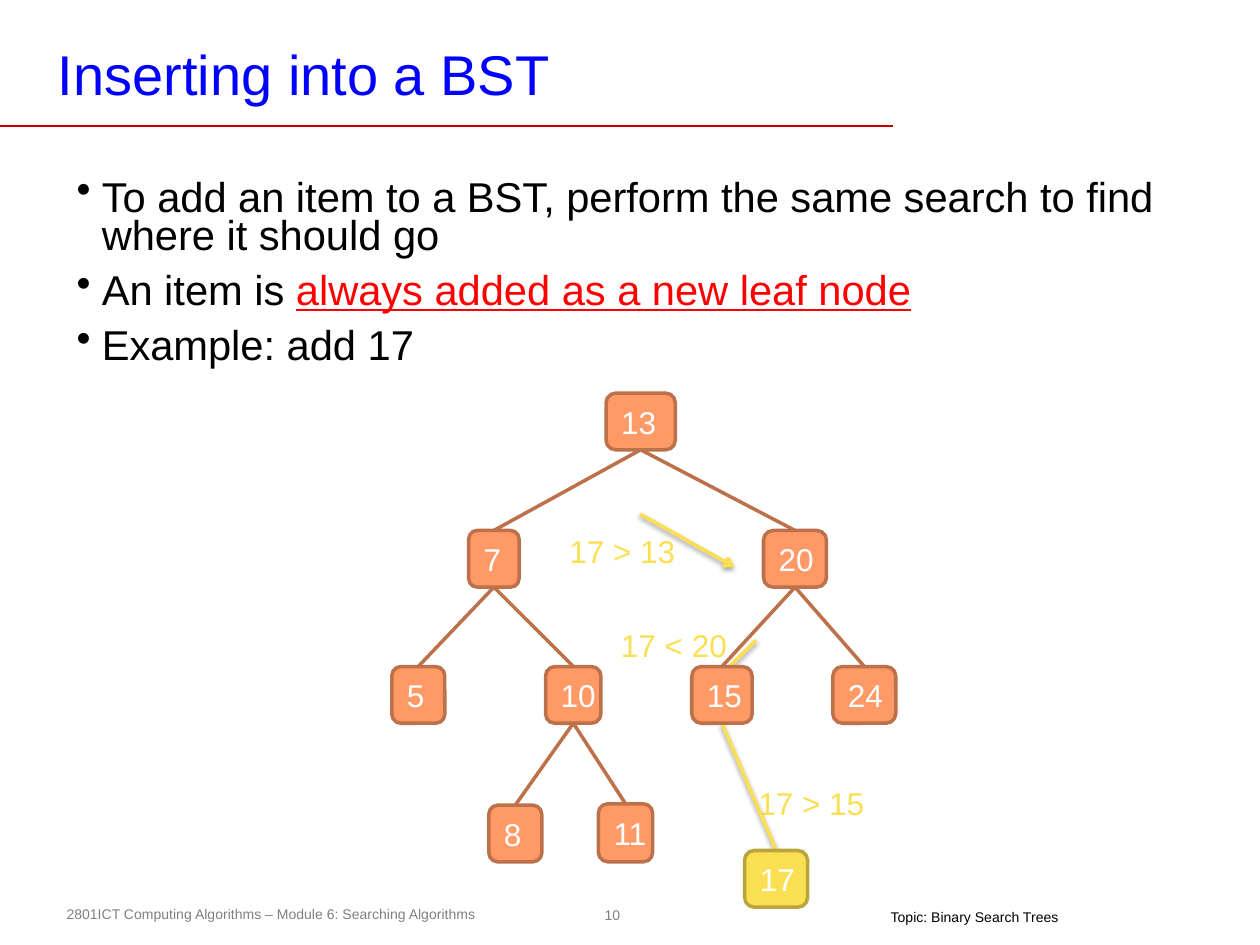
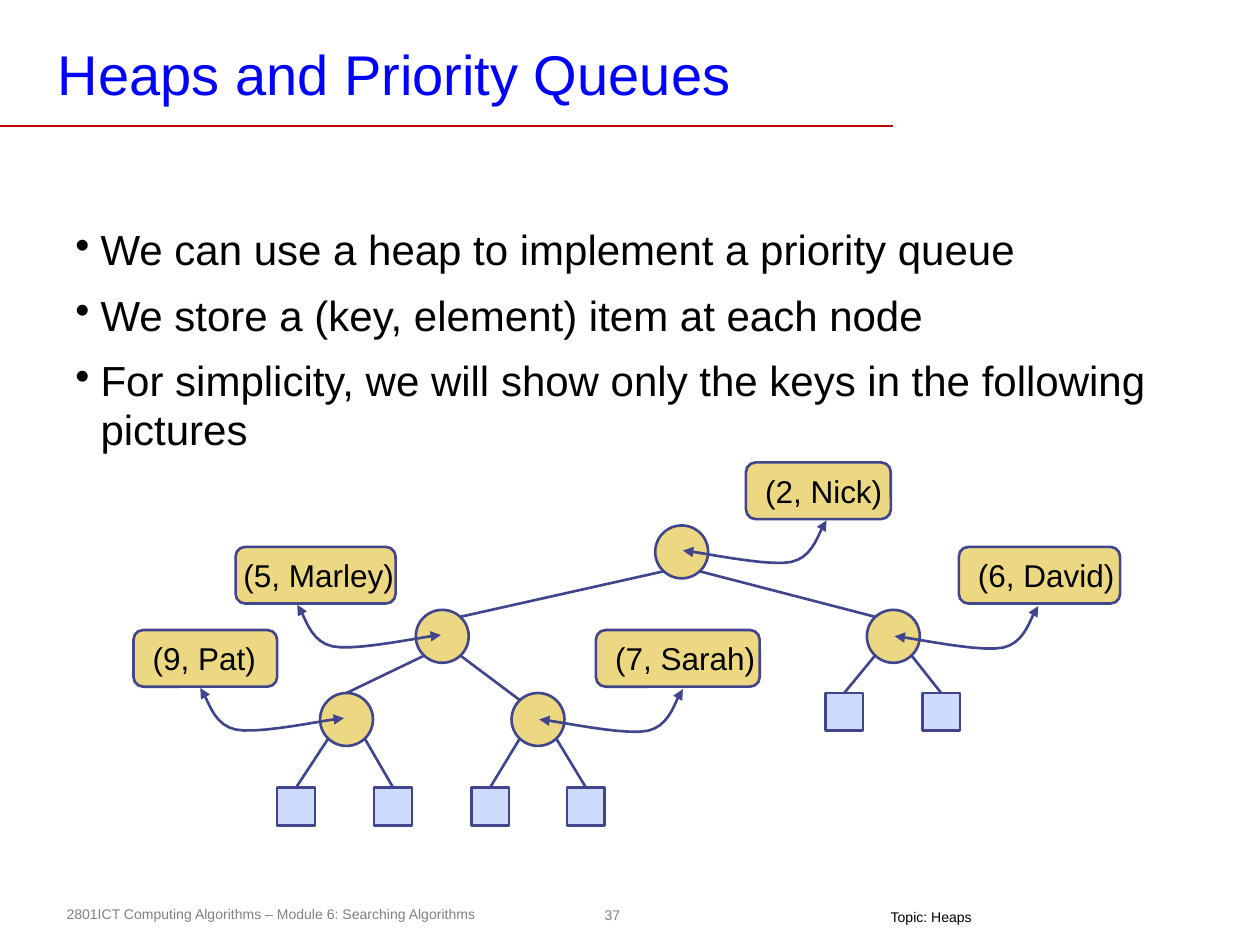
import pptx
import pptx.dml.color
import pptx.enum.shapes
import pptx.enum.text
import pptx.oxml
import pptx.oxml.ns
import pptx.util

Inches = pptx.util.Inches
Pt = pptx.util.Pt
SHAPE = pptx.enum.shapes.MSO_SHAPE
ALIGN = pptx.enum.text.PP_ALIGN
MIDDLE = pptx.enum.text.MSO_ANCHOR.MIDDLE

# Shared look
FONT = "Arial"
BLACK, WHITE, GREY, RED = "000000", "FFFFFF", "808080", "FF0000"
TITLE_BLUE, RULE_RED = "0000FF", "C00000"
ORANGE, BROWN = "FF9966", "BD714B"
YELLOW, OLIVE = "FBDF53", "BAA53D"
SAND, PALE_BLUE, INDIGO = "ECD882", "CFDBFD", "40458C"
COURSE = "2801ICT Computing Algorithms – Module 6: Searching Algorithms"
INSETS = (0.1, 0.05, 0.1, 0.05)

# Search tree: key -> left, top, width, height
TREE_NODES = {
    "13": (4.81, 3.12, 0.55, 0.45),
    "7": (3.72, 4.21, 0.4, 0.45),
    "20": (6.06, 4.21, 0.5, 0.45),
    "5": (3.11, 5.29, 0.42, 0.45),
    "10": (4.33, 5.29, 0.44, 0.45),
    "15": (5.49, 5.29, 0.48, 0.45),
    "24": (6.61, 5.29, 0.5, 0.45),
    "8": (3.88, 6.39, 0.42, 0.45),
    "11": (4.75, 6.38, 0.43, 0.46),
}
TREE_CHILDREN = {"13": ("7", "20"), "7": ("5", "10"), "20": ("15", "24"), "10": ("8", "11")}
COMPARISONS = [("17 > 13", 4.42, 4.17), ("17 < 20", 4.83, 4.92), ("17 > 15", 5.92, 6.17)]

# Heap: circle -> left, top
CIRCLE, SQUARE = 0.42, 0.3
HEAP_CIRCLES = {
    "Nick": (5.2, 4.17),
    "Marley": (3.3, 4.84),
    "David": (6.88, 4.84),
    "Pat": (2.54, 5.5),
    "Sarah": (4.06, 5.5),
}
# Parent with the lefts and top of its two empty leaves
HEAP_LEAVES = [("Pat", (2.2, 2.97), 6.25), ("Sarah", (3.74, 4.5), 6.25), ("David", (6.55, 7.32), 5.5)]
# Anchors as fractions of a shape's width and height
TOP, TOP_LEFT, TOP_RIGHT = (0.5, 0), (0.15, 0.13), (0.85, 0.13)
BOTTOM_LEFT, BOTTOM_RIGHT = (0.15, 0.87), (0.85, 0.87)
HEAP_EDGES = [
    ("Nick", BOTTOM_LEFT, "Marley", TOP_RIGHT),
    ("Nick", BOTTOM_RIGHT, "David", TOP_LEFT),
    ("Marley", BOTTOM_LEFT, "Pat", TOP),
    ("Marley", BOTTOM_RIGHT, "Sarah", TOP_LEFT),
]
# Item text, box left, top, width and left inset
HEAP_ITEMS = [
    ("(2, Nick)", 5.92, 3.67, 1.15, 0.13),
    ("(6, David)", 7.61, 4.34, 1.28, 0.13),
    ("(5, Marley)", 1.87, 4.34, 1.27, 0.04),
    ("(9, Pat)", 1.06, 5, 1.14, 0.13),
    ("(7, Sarah)", 4.73, 5, 1.3, 0.13),
]
# Start of each double arrow and its horizontal direction
HEAP_LINKS = [(5.42, 4.37, 1), (7.1, 5.05, 1), (3.5, 5.04, -1), (2.73, 5.7, -1), (4.28, 5.71, 1)]
# Two cubic curves as offsets from the start
LINK_CURVES = [
    [(0, 0), (0.14, 0.01), (0.67, 0.13), (0.86, 0.09)],
    [(0.86, 0.09), (1.05, 0.05), (1.08, -0.17), (1.14, -0.24)],
]


def rgb(value):
    return pptx.dml.color.RGBColor.from_string(value)


def set_attributes(target, values):
    for name, value in values.items():
        setattr(target, name, value)


def format_frame(frame, insets=INSETS, wrap=True, anchor=None):
    sides = ("margin_left", "margin_top", "margin_right", "margin_bottom")
    set_attributes(frame, dict(zip(sides, map(Inches, insets))))
    set_attributes(frame, {"word_wrap": wrap, "vertical_anchor": anchor})


def add_run(paragraph, text, size, color, underline=None):
    run = paragraph.add_run()
    run.text = text
    set_attributes(run.font, {"size": Pt(size), "name": FONT, "underline": underline})
    run.font.color.rgb = rgb(color)


def add_text(slide, text, box, size, color, align=ALIGN.LEFT, **frame_format):
    shape = slide.shapes.add_textbox(*map(Inches, box))
    format_frame(shape.text_frame, **frame_format)
    paragraph = shape.text_frame.paragraphs[0]
    paragraph.alignment = align
    add_run(paragraph, text, size, color)


def add_bullets(slide, box, items, size, line_spacing):
    """Each item is a list of (text, color, underline) runs."""
    frame = slide.shapes.add_textbox(*map(Inches, box)).text_frame
    format_frame(frame)
    for index, runs in enumerate(items):
        paragraph = frame.add_paragraph() if index else frame.paragraphs[0]
        set_attributes(paragraph, {"line_spacing": line_spacing, "space_before": Pt(9.4)})
        properties = paragraph._p.get_or_add_pPr()
        properties.set("marL", str(Inches(0.2)))
        properties.set("indent", str(Inches(-0.2)))
        bullet = pptx.oxml.parse_xml(f'<a:buChar {pptx.oxml.ns.nsdecls("a")} char="•"/>')
        properties.append(bullet)
        for text, color, underline in runs:
            add_run(paragraph, text, size, color, underline)


def add_box(slide, kind, box, fill, line, width, rounding=None):
    shape = slide.shapes.add_shape(kind, *map(Inches, box))
    shape.shadow.inherit = False
    shape.fill.solid()
    shape.fill.fore_color.rgb = rgb(fill)
    shape.line.color.rgb = rgb(line)
    shape.line.width = Pt(width)
    if rounding is not None:
        shape.adjustments[0] = rounding
    return shape


def add_label_box(slide, text, box, fill, line, width, color, left_inset=0.1):
    shape = add_box(slide, SHAPE.ROUNDED_RECTANGLE, box, fill, line, width, 0.17)
    format_frame(shape.text_frame, (left_inset, 0.05, 0.1, 0.05), False, MIDDLE)
    paragraph = shape.text_frame.paragraphs[0]
    paragraph.alignment = ALIGN.LEFT
    add_run(paragraph, text, 18, color)
    return shape


def add_arrowheads(shape, **ends):
    line = shape.element.spPr.find(pptx.oxml.ns.qn("a:ln"))
    for tag, kind in ends.items():
        line.append(pptx.oxml.parse_xml(f'<a:{tag} {pptx.oxml.ns.nsdecls("a")} type="{kind}"/>'))


def add_line(slide, start, end, color, width, shadow=False):
    """Start and end are points in EMU."""
    connector = slide.shapes.add_connector(
        pptx.enum.shapes.MSO_CONNECTOR.STRAIGHT, *start, *end)
    connector.line.color.rgb = rgb(color)
    connector.line.width = Pt(width)
    effect = (f'<a:outerShdw blurRad="{Pt(3.1)}" dist="{Pt(1.6)}" dir="5400000" rotWithShape="0">'
              '<a:srgbClr val="000000"><a:alpha val="38000"/></a:srgbClr></a:outerShdw>')
    connector.element.spPr.append(pptx.oxml.parse_xml(
        f'<a:effectLst {pptx.oxml.ns.nsdecls("a")}>{effect if shadow else ""}</a:effectLst>'))
    return connector


def point(x, y):
    return Inches(x), Inches(y)


def anchor_point(shape, anchor):
    across, down = anchor
    return int(shape.left + across * shape.width), int(shape.top + down * shape.height)


def curve_point(controls, t):
    weights = ((1 - t) ** 3, 3 * t * (1 - t) ** 2, 3 * t * t * (1 - t), t ** 3)
    return tuple(sum(w * c[axis] for w, c in zip(weights, controls)) for axis in (0, 1))


def add_link(slide, x, y, direction, steps=10):
    """Curved double arrow between a heap node and its item."""
    offsets = [curve_point(curve, step / steps)
               for curve in LINK_CURVES for step in range(1, steps + 1)]
    builder = slide.shapes.build_freeform(*point(x, y))
    builder.add_line_segments([point(x + direction * dx, y + dy) for dx, dy in offsets], close=False)
    link = builder.convert_to_shape()
    link.shadow.inherit = False
    link.fill.background()
    link.line.color.rgb = rgb(INDIGO)
    link.line.width = Pt(1.5)
    add_arrowheads(link, headEnd="triangle", tailEnd="triangle")


def add_slide(presentation, title, number, topic):
    """Slide with the shared title, rule and footer."""
    slide = presentation.slides.add_slide(presentation.slide_layouts[5])
    add_text(slide, number, (4.66, 7.13, 0.4, 0.26), 8, GREY, ALIGN.CENTER,
             insets=(0.04,) * 4, anchor=MIDDLE)
    add_text(slide, COURSE, (0.43, 7.14, 3.64, 0.24), 8, GREY)
    add_line(slide, point(0, 1), point(7.09, 1), RULE_RED, 1)
    add_text(slide, topic, (6.97, 7.21, 1.55, 0.17), 8, BLACK, insets=(0.1, 0, 0.1, 0.04))
    heading = slide.shapes.title
    box = map(Inches, (0.39, 0.28, 7.42, 0.6))
    set_attributes(heading, dict(zip(("left", "top", "width", "height"), box)))
    format_frame(heading.text_frame, (0.07, 0.03, 0.07, 0.03), anchor=MIDDLE)
    paragraph = heading.text_frame.paragraphs[0]
    paragraph.alignment = ALIGN.LEFT
    add_run(paragraph, title, 32, TITLE_BLUE)
    return slide


def add_search_tree(slide):
    # Path followed by the new key
    for start, end in (((5.08, 4.08), (5.83, 4.5)), ((6, 5.08), (5.58, 5.5))):
        arrow = add_line(slide, point(*start), point(*end), YELLOW, 2, shadow=True)
        add_arrowheads(arrow, tailEnd="arrow")
    for text, left, top in COMPARISONS:
        add_text(slide, text, (left, top, 1.25, 0.4), 18, YELLOW)
    add_line(slide, point(5.73, 5.74), point(6.16, 6.75), YELLOW, 2, shadow=True)
    add_label_box(slide, "17", (5.91, 6.75, 0.5, 0.45), YELLOW, OLIVE, 2, WHITE)

    # Existing nodes and edges
    nodes = {key: add_label_box(slide, key, box, ORANGE, BROWN, 2, WHITE)
             for key, box in TREE_NODES.items()}
    for parent, children in TREE_CHILDREN.items():
        for child in children:
            edge = add_line(slide, point(0, 0), point(1, 1), BROWN, 2)
            edge.begin_connect(nodes[parent], 2)
            edge.end_connect(nodes[child], 0)


def add_heap(slide):
    circles = {name: add_box(slide, SHAPE.OVAL, (*corner, CIRCLE, CIRCLE), SAND, INDIGO, 1.5)
               for name, corner in HEAP_CIRCLES.items()}
    for parent, start, child, end in HEAP_EDGES:
        add_line(slide, anchor_point(circles[parent], start),
                 anchor_point(circles[child], end), INDIGO, 1.5)

    # Empty leaves
    for parent, lefts, top in HEAP_LEAVES:
        for left, start in zip(lefts, (BOTTOM_LEFT, BOTTOM_RIGHT)):
            leaf = add_box(slide, SHAPE.RECTANGLE, (left, top, SQUARE, SQUARE),
                           PALE_BLUE, INDIGO, 1.5)
            add_line(slide, anchor_point(circles[parent], start),
                     anchor_point(leaf, TOP), INDIGO, 1.5)

    # Items and their links to the nodes
    for text, left, top, width, inset in HEAP_ITEMS:
        add_label_box(slide, text, (left, top, width, 0.45), SAND, INDIGO, 1.5, BLACK, inset)
    for link in HEAP_LINKS:
        add_link(slide, *link)


def main():
    presentation = pptx.Presentation()
    set_attributes(presentation, {"slide_width": Inches(10), "slide_height": Inches(7.5)})

    slide = add_slide(presentation, "Inserting into a BST", "10", "Topic: Binary Search Trees")
    add_bullets(slide, (0.51, 1.39, 9, 1.75), [
        [("To add an item to a BST, perform the same search to find where it should go", BLACK, None)],
        [("An item is ", BLACK, None), ("always added as a new leaf node", RED, True)],
        [("Example: add 17", BLACK, None)],
    ], 23.8, 0.77)
    add_search_tree(slide)

    slide = add_slide(presentation, "Heaps and Priority Queues", "37", "Topic: Heaps")
    add_bullets(slide, (0.5, 1.75, 9, 2), [
        [("We can use a heap to implement a priority queue", BLACK, None)],
        [("We store a (key, element) item at each node", BLACK, None)],
        [("For simplicity, we will show only the keys in the following pictures", BLACK, None)],
    ], 24, 0.97)
    add_heap(slide)

    presentation.save("out.pptx")


if __name__ == "__main__":
    main()
